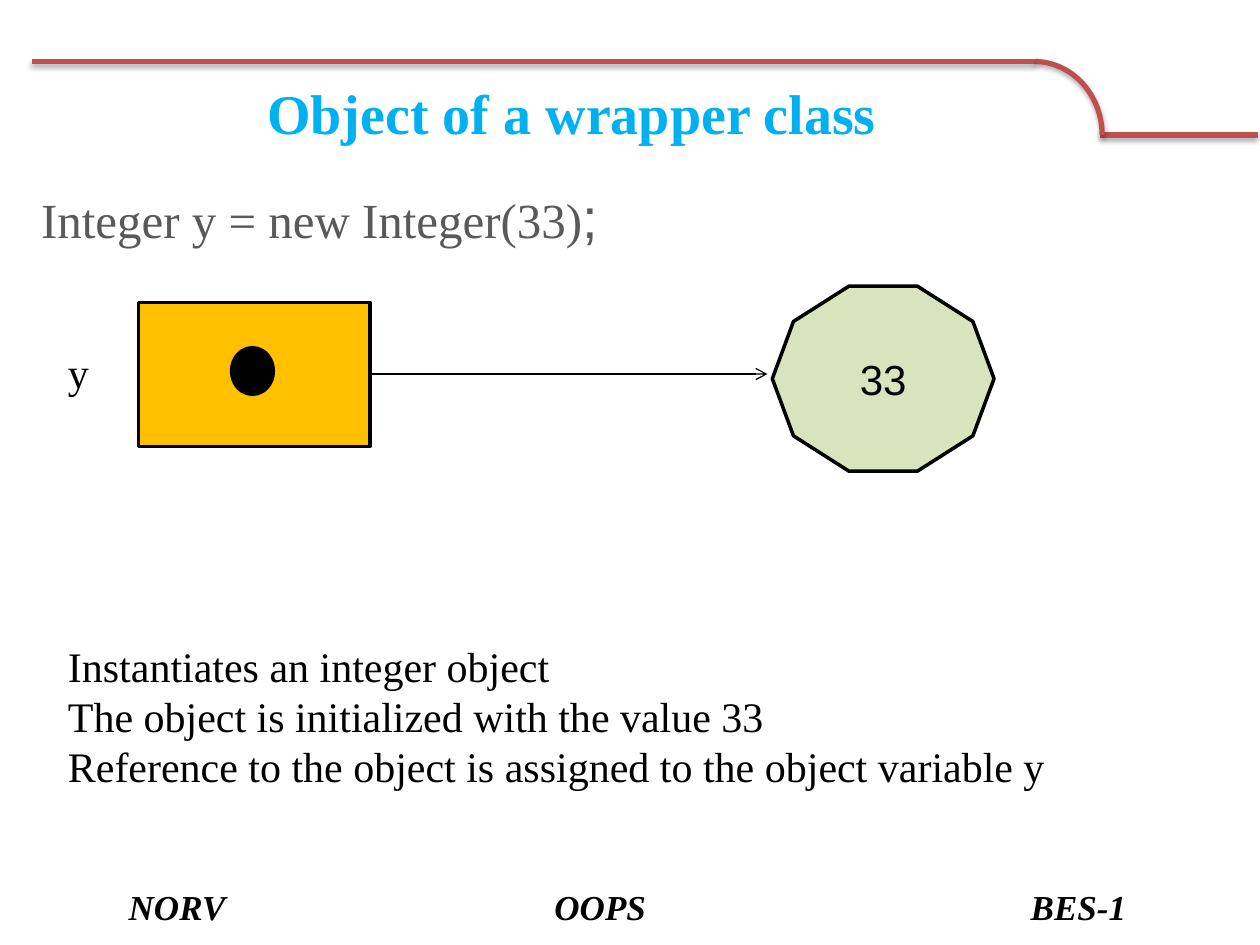
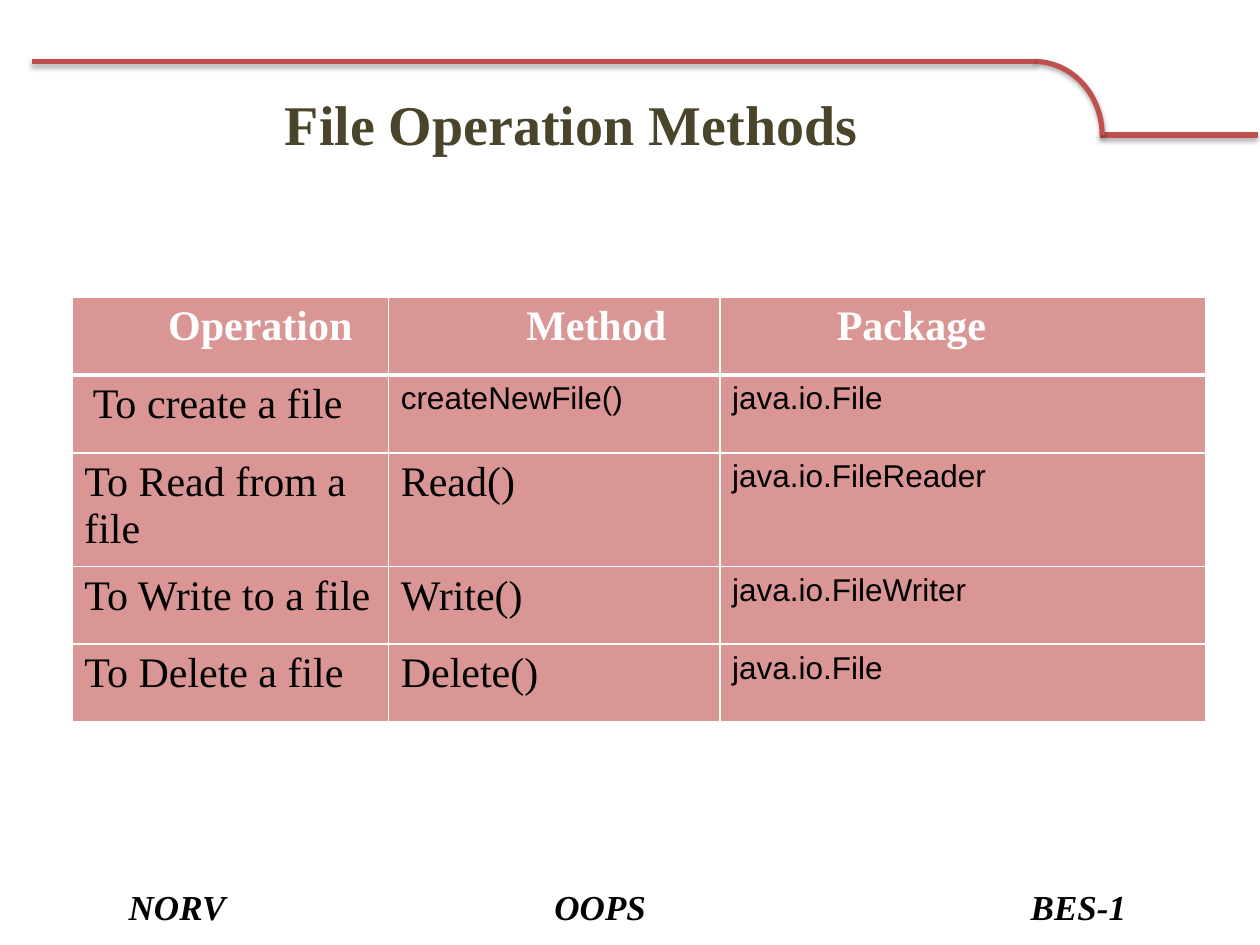
"""Builds two lecture slides on wrapper objects and file operations."""
from lxml import etree
from pptx import Presentation, util as u
from pptx.dml import color as colors
from pptx.enum import shapes, text
from pptx.oxml import ns

SERIF, SANS = "Times New Roman", "Arial"
BLACK, WHITE, RULE, ROSE = "000000", "FFFFFF", "C0504D", "D99694"
CENTER, MIDDLE = text.PP_ALIGN.CENTER, text.MSO_ANCHOR.MIDDLE
GROW = text.MSO_AUTO_SIZE.SHAPE_TO_FIT_TEXT


def rgb(value):
    """Turn a hex string into a colour."""
    return colors.RGBColor.from_string(value)


def child(parent, tag, **values):
    """Append a DrawingML element with its attributes."""
    return etree.SubElement(parent, ns.qn(tag), {k: str(v) for k, v in values.items()})


def assign(target, values):
    """Set attributes from a dict of format values."""
    for key, value in values.items():
        setattr(target, key, value)


class Builder:
    """Hold the deck style and draw on the current slide."""

    def __init__(self):
        """Start an empty 4:3 deck."""
        self.deck = Presentation()
        assign(self.deck, {"slide_width": u.Cm(25.4), "slide_height": u.Cm(19.05)})
        self.page = None

    def new_page(self, title, box, color):
        """Add a blank page with the shared rule, title and footer."""
        self.page = self.deck.slides.add_slide(self.deck.slide_layouts[6])
        self.line((22.17, 2.72), (25.35, 2.72), RULE, 3, shadow=True)
        self.shape("ARC", (19.48, 1.24, 2.74, 2.97), None, RULE, 3, shadow=True)
        self.line((20.85, 1.24), (0.64, 1.24), RULE, 3, shadow=True)
        self.label(box, [title], {"size": 32, "bold": True}, color,
                   {"alignment": CENTER}, vertical_anchor=MIDDLE)
        for word, middle in (("NORV", 3.57), ("OOPS", 12.1), ("BES-1", 21.74)):
            self.label((middle - 2, 17.7, 4, 1.14), [word],
                       {"size": 20, "bold": True, "italic": True}, BLACK,
                       {"alignment": CENTER}, vertical_anchor=MIDDLE)

    def paragraphs(self, frame, lines, font, color, layout=None):
        """Fill a frame with paragraphs, each a string or a list of styled spans."""
        for number, line in enumerate(lines):
            para = frame.add_paragraph() if number else frame.paragraphs[0]
            assign(para, layout or {})
            spans = [(line, {})] if isinstance(line, str) else line
            for words, changes in spans:
                span = para.add_run()
                span.text = words
                values = {"name": SERIF, **font, **changes}
                assign(span.font, {**values, "size": u.Pt(values["size"])})
                span.font.color.rgb = rgb(color)

    def label(self, box, lines, font, color=BLACK, layout=None, **frame_values):
        """Add a text box."""
        frame = self.page.shapes.add_textbox(*map(u.Cm, box)).text_frame
        assign(frame, {"word_wrap": True, **frame_values})
        self.paragraphs(frame, lines, font, color, layout)

    def effects(self, item, shadow):
        """Give an item the soft rule shadow or none at all."""
        properties = item._element.spPr
        effect = properties.find(ns.qn("a:effectLst"))
        if effect is None:
            effect = child(properties, "a:effectLst")
        if shadow:
            outer = child(effect, "a:outerShdw", blurRad=u.Pt(3.1), dist=u.Pt(1.8),
                          dir=5400000, rotWithShape=0)
            child(child(outer, "a:srgbClr", val=BLACK), "a:alpha", val=35000)

    def shape(self, kind, box, fill, color=BLACK, width=2, shadow=False):
        """Add an outlined preset shape."""
        item = self.page.shapes.add_shape(shapes.MSO_SHAPE[kind], *map(u.Cm, box))
        if fill:
            item.fill.solid()
            item.fill.fore_color.rgb = rgb(fill)
        else:
            item.fill.background()
        item.line.color.rgb = rgb(color)
        item.line.width = u.Pt(width)
        item.shadow.inherit = False
        self.effects(item, shadow)
        return item

    def line(self, start, end, color=BLACK, width=0.75, shadow=False, arrow=False):
        """Add a straight connector."""
        item = self.page.shapes.add_connector(
            shapes.MSO_CONNECTOR.STRAIGHT, *map(u.Cm, start + end))
        item.line.color.rgb = rgb(color)
        item.line.width = u.Pt(width)
        if arrow:
            child(item._element.spPr.find(ns.qn("a:ln")), "a:tailEnd", type="arrow")
        self.effects(item, shadow)

    def cell(self, cell, words, font, color, margin, borders):
        """Fill one table cell and draw its white borders."""
        properties = cell._tc.get_or_add_tcPr()
        for side, width in zip("LRTB", borders):
            edge = child(properties, f"a:ln{side}", w=u.Pt(width))
            child(child(edge, "a:solidFill"), "a:srgbClr", val=WHITE)
        cell.fill.solid()
        cell.fill.fore_color.rgb = rgb(ROSE)
        cell.margin_left = u.Cm(margin)
        self.paragraphs(cell.text_frame, [words], font, color)

    def table(self, corner, widths, height, rows, margins):
        """Add a table with a bold header and a sans font for code."""
        size = (sum(widths), height * len(rows))
        table = self.page.shapes.add_table(
            len(rows), len(widths), *map(u.Cm, corner + size)).table
        table.horz_banding = False
        for column, width in zip(table.columns, widths):
            column.width = u.Cm(width)
        for r, row in enumerate(rows):
            table.rows[r].height = u.Cm(height)
            borders = (1, 1, 3 if r == 1 else 1, 3 if r == 0 else 1)
            for c, words in enumerate(row):
                code = r > 0 and (c == 2 or words.startswith("create"))
                font = {"size": 18, "name": SANS} if code else {"size": 24}
                self.cell(table.cell(r, c), words, {**font, "bold": r == 0},
                          BLACK if r else WHITE, margins.get((r, c), 0.25), borders)


def wrapper_page(show):
    """Draw the reference from a variable to its wrapper object."""
    show.new_page("Object of a wrapper class", (1.27, 1.35, 20.52, 1.83), "00B0F0")
    show.label((0.58, 3.56, 23.52, 13.97),
               [[("Integer y = new Integer(33)", {}), (";", {"size": 32, "name": SANS})]],
               {"size": 28}, "595959", {"space_before": u.Pt(5)})
    show.shape("RECTANGLE", (2.79, 6.1, 4.67, 2.9), "FFC000")
    show.shape("OVAL", (4.67, 7.01, 0.84, 0.94), BLACK)
    show.line((7.47, 7.54), (15.47, 7.54), arrow=True)
    value = show.shape("DECAGON", (15.57, 5.77, 4.47, 3.73), "D7E4BD")
    value.text_frame.vertical_anchor = MIDDLE
    show.paragraphs(value.text_frame, ["33"], {"size": 24, "name": SANS}, BLACK,
                    {"alignment": CENTER})
    show.label((1.12, 6.86, 0.94, 1.27), ["y"], {"size": 24},
               word_wrap=False, auto_size=GROW)
    show.label((1.12, 12.78, 23.22, 3.33),
               ["Instantiates an integer object",
                "The object is initialized with the value 33",
                "Reference to the object is assigned to the object variable y"],
               {"size": 24}, auto_size=GROW)


def file_page(show):
    """Draw the table of file operations."""
    show.new_page("File Operation Methods", (5.03, 1.57, 12.98, 1.83), "4A452A")
    rows = [("Operation", "Method", "Package"),
            ("To create a file", "createNewFile()", "java.io.File"),
            ("To Read from a file", "Read()", "java.io.FileReader"),
            ("To Write to a file", "Write()", "java.io.FileWriter"),
            ("To Delete a file", "Delete()", "java.io.File")]
    margins = {(0, 0): 1.94, (0, 1): 2.78, (0, 2): 2.36, (1, 0): 0.42}
    show.table((1.45, 5.99), (6.38, 6.68, 9.8), 1.57, rows, margins)


builder = Builder()
wrapper_page(builder)
file_page(builder)
builder.deck.save("out.pptx")
